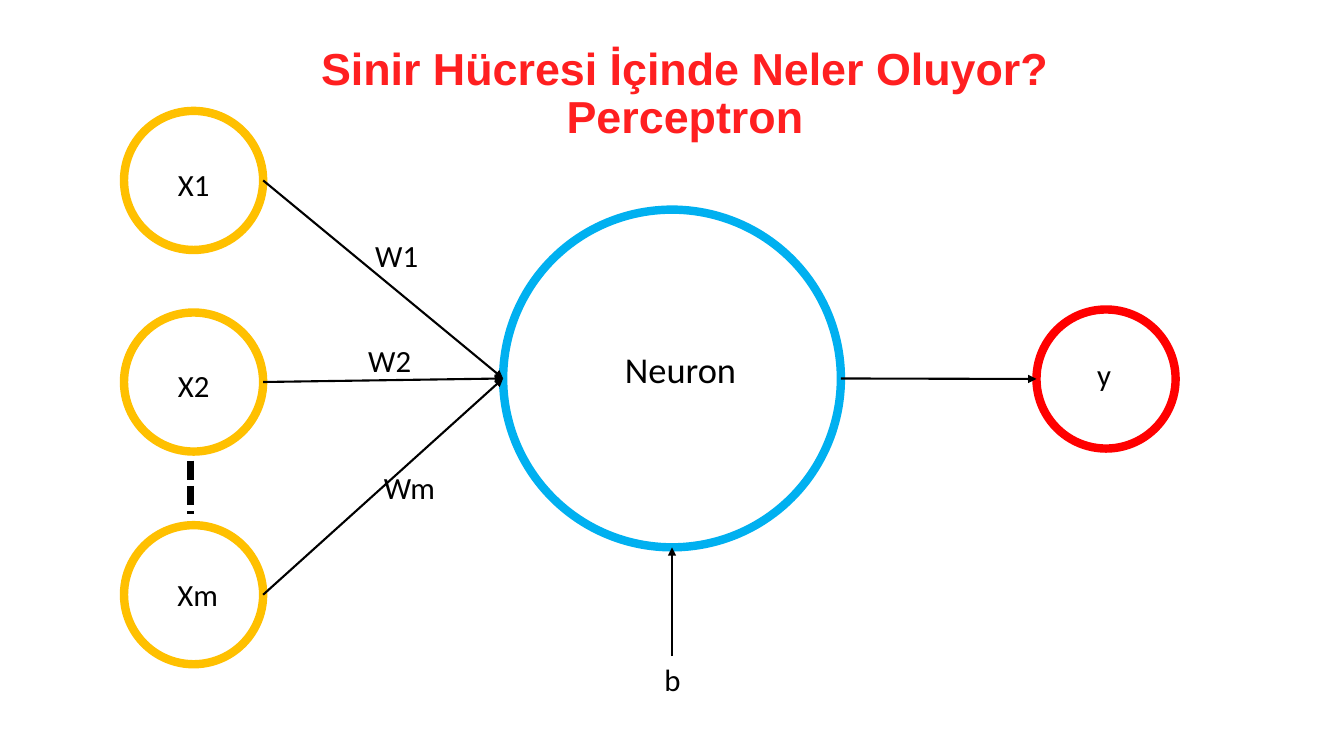
from lxml import etree
from pptx import Presentation
from pptx.dml.color import RGBColor
from pptx.enum.dml import MSO_LINE
from pptx.enum.shapes import MSO_CONNECTOR, MSO_SHAPE
from pptx.enum.text import MSO_ANCHOR, PP_ALIGN
from pptx.oxml.ns import qn
from pptx.util import Inches, Pt

OVAL = MSO_SHAPE.OVAL
STRAIGHT = MSO_CONNECTOR.STRAIGHT
CENTER = PP_ALIGN.CENTER
TOP, BOTTOM = MSO_ANCHOR.TOP, MSO_ANCHOR.BOTTOM
DOTTED = MSO_LINE.SQUARE_DOT

BLACK, RED, YELLOW, BLUE = "000000", "FF0000", "FFC000", "00B0F0"
TITLE_RED = "FF1F20"

TITLE = ["Sinir Hücresi İçinde Neler Oluyor?", "Perceptron"]
NODE_D, NEURON_D = 1.38, 3.35
INPUT_X = 1.23
NEURON_X, NEURON_Y = 4.99, 2.08
OUTPUT_X, OUTPUT_Y = 10.28, 3.07
INPUT_TOPS = [1.1, 3.1, 5.21]

# text, left, top, width, height, size
LABELS = [
    ("Neuron", 5.69, 3.39, 2.12, 0.86, 26),
    ("X1", 1.66, 1.59, 0.52, 0.47, 22),
    ("X2", 1.66, 3.59, 0.52, 0.47, 22),
    ("Xm", 1.62, 5.66, 0.68, 0.47, 22),
    ("y", 10.78, 3.48, 0.34, 0.47, 22),
    ("W1", 3.62, 2.3, 0.63, 0.47, 22),
    ("W2", 3.55, 3.34, 0.63, 0.47, 22),
    ("Wm", 3.7, 4.6, 0.72, 0.47, 22),
    ("b", 6.49, 6.51, 0.36, 0.47, 22),
]


def rgb(color):
    return RGBColor.from_string(color)


def add_ring(slide, x, y, d, color):
    sp = slide.shapes.add_shape(OVAL, Inches(x), Inches(y), Inches(d), Inches(d))
    sp.shadow.inherit = False
    sp.fill.background()
    sp.line.color.rgb = rgb(color)
    sp.line.width = Pt(6)


def add_text(slide, lines, box, size, font="Calibri", color=BLACK,
             bold=False, wrap=False, anchor=TOP, spacing=1.0):
    tf = slide.shapes.add_textbox(*map(Inches, box)).text_frame
    tf.word_wrap = wrap
    tf.vertical_anchor = anchor
    p = tf.paragraphs[0]
    p.alignment = CENTER
    p.line_spacing = spacing
    for i, line in enumerate(lines):
        if i:
            p.add_line_break()
        r = p.add_run()
        r.text = line
        r.font.name = font
        r.font.size = Pt(size)
        r.font.bold = bold
        r.font.color.rgb = rgb(color)


def add_line(slide, start, end, width=1.5, dash=None, arrow=True):
    cx = slide.shapes.add_connector(STRAIGHT, *map(Inches, (*start, *end)))
    cx.line.color.rgb = rgb(BLACK)
    cx.line.width = Pt(width)
    if dash:
        cx.line.dash_style = dash
    if arrow:
        ln = cx.line._get_or_add_ln()
        etree.SubElement(ln, qn("a:tailEnd"), type="triangle")
    etree.SubElement(cx._element.spPr, qn("a:effectLst"))


def main():
    prs = Presentation()
    prs.slide_width, prs.slide_height = Inches(13.33), Inches(7.5)
    slide = prs.slides.add_slide(prs.slide_layouts[6])

    add_text(slide, TITLE, (2.43, 0.42, 8.73, 1.05), 32, "Arial", TITLE_RED,
             bold=True, wrap=True, anchor=BOTTOM, spacing=0.9)

    add_ring(slide, NEURON_X, NEURON_Y, NEURON_D, BLUE)
    for top in INPUT_TOPS:
        add_ring(slide, INPUT_X, top, NODE_D, YELLOW)
    add_ring(slide, OUTPUT_X, OUTPUT_Y, NODE_D, RED)

    mid_x, mid_y = NEURON_X + NEURON_D / 2, NEURON_Y + NEURON_D / 2
    for top in INPUT_TOPS:
        add_line(slide, (INPUT_X + NODE_D, top + NODE_D / 2), (NEURON_X, mid_y))
    add_line(slide, (NEURON_X + NEURON_D, mid_y),
             (OUTPUT_X, OUTPUT_Y + NODE_D / 2))
    add_line(slide, (mid_x, 6.51), (mid_x, NEURON_Y + NEURON_D))
    add_line(slide, (1.89, 4.57), (1.89, 5.1), 4.5, DOTTED, arrow=False)

    for text, *box, size in LABELS:
        add_text(slide, [text], box, size)

    prs.save("out.pptx")


if __name__ == "__main__":
    main()
